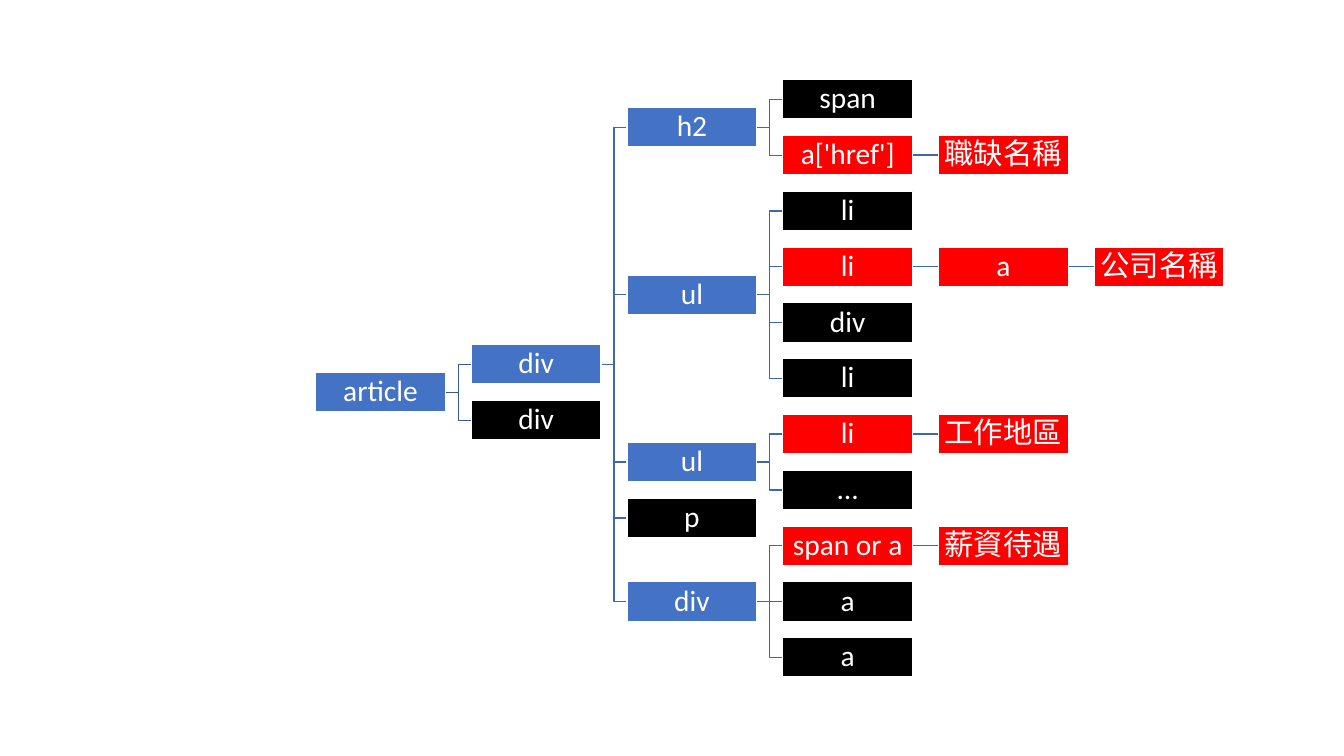
from collections import defaultdict
from dataclasses import dataclass

from pptx import Presentation
from pptx.dml.color import RGBColor
from pptx.enum.shapes import MSO_CONNECTOR, MSO_SHAPE
from pptx.enum.text import MSO_ANCHOR, PP_ALIGN
from pptx.oxml.ns import qn
from pptx.shapes.autoshape import Shape
from pptx.util import Inches, Pt
from lxml.etree import SubElement


# Colours and type
@dataclass(frozen=True)
class Theme:
    path_fill: str = "4472C4"
    skip: str = "000000"
    pick: str = "FF0000"
    white: str = "FFFFFF"
    root_line: str = "365B9D"
    line: str = "3E67B2"
    font: str = "Calibri"
    size: int = 21
    rule: int = 1


@dataclass(frozen=True)
class Node:
    text: str
    fill: str
    kids: tuple["Node", ...] = ()


# Grid: every length follows from the box width
@dataclass(frozen=True)
class Grid:
    left: float = 3.13
    top: float = 0.79
    wide: float = 9.01 / 7

    @property
    def high(self) -> float:
        return self.wide * 0.305

    def spot(self, col: int, row: float) -> tuple[float, float]:
        return self.left + col * self.wide * 1.2, self.top + row * self.wide * 0.43


LOOK = Theme()
GRID = Grid()


def tag(text: str, *kids: Node) -> Node:
    return Node(text, LOOK.path_fill, kids)


def skip(text: str) -> Node:
    return Node(text, LOOK.skip)


def pick(text: str, *kids: Node) -> Node:
    return Node(text, LOOK.pick, kids)


# Tags of the job listing
TREE = tag(
    "article",
    tag(
        "div",
        tag("h2", skip("span"), pick("a['href']", pick("職缺名稱"))),
        tag("ul", skip("li"), pick("li", pick("a", pick("公司名稱"))),
            skip("div"), skip("li")),
        tag("ul", pick("li", pick("工作地區")), skip("...")),
        skip("p"),
        tag("div", pick("span or a", pick("薪資待遇")), skip("a"), skip("a")),
    ),
    skip("div"),
)

deck = Presentation()
deck.slide_width, deck.slide_height = Inches(13.33), Inches(7.5)
slide = deck.slides.add_slide(deck.slide_layouts[6])
free: dict[int, float] = defaultdict(float)  # next free row in each column


def box(node: Node, col: int, row: float) -> Shape:
    x, y = GRID.spot(col, row)
    shape = slide.shapes.add_shape(
        MSO_SHAPE.RECTANGLE, Inches(x), Inches(y),
        Inches(GRID.wide), Inches(GRID.high))
    shape.shadow.inherit = False
    shape.fill.solid()
    shape.fill.fore_color.rgb = RGBColor.from_string(node.fill)
    shape.line.color.rgb = RGBColor.from_string(LOOK.white)
    shape.line.width = Pt(LOOK.rule)
    frame = shape.text_frame
    frame.word_wrap = True
    frame.vertical_anchor = MSO_ANCHOR.MIDDLE
    frame.margin_left = frame.margin_right = Inches(0.01)
    frame.margin_top = frame.margin_bottom = Inches(0.01)
    para = frame.paragraphs[0]
    para.alignment = PP_ALIGN.CENTER
    para.line_spacing = 0.9
    run = para.add_run()
    run.text = node.text
    run.font.name = LOOK.font
    run.font.size = Pt(LOOK.size)
    run.font.color.rgb = RGBColor.from_string(LOOK.white)
    return shape


def link(start: Shape, end: Shape, tint: str) -> None:
    level = start.top == end.top
    kind = MSO_CONNECTOR.STRAIGHT if level else MSO_CONNECTOR.ELBOW
    wire = slide.shapes.add_connector(kind, 0, 0, 0, 0)
    wire.begin_connect(start, 3)
    wire.end_connect(end, 1)
    wire.line.color.rgb = RGBColor.from_string(tint)
    wire.line.width = Pt(LOOK.rule)
    SubElement(wire.element.spPr, qn("a:effectLst"))
    wire.element.getparent().insert(2, wire.element)  # behind the boxes


def grow(node: Node, col: int = 0, base: float = 0) -> tuple[Shape, float]:
    """Centre a parent on its children; stack the rest down the column."""
    row = max(base, free[col])
    if len(node.kids) == 1:
        kids = [grow(node.kids[0], col + 1, row)]
    else:
        kids = [grow(kid, col + 1) for kid in node.kids]
        if kids:
            row = (kids[0][1] + kids[-1][1]) / 2
    free[col] = row + 1
    shape = box(node, col, row)
    for kid, _ in kids:
        link(shape, kid, LOOK.line if col else LOOK.root_line)
    return shape, row


grow(TREE)
deck.save("out.pptx")
